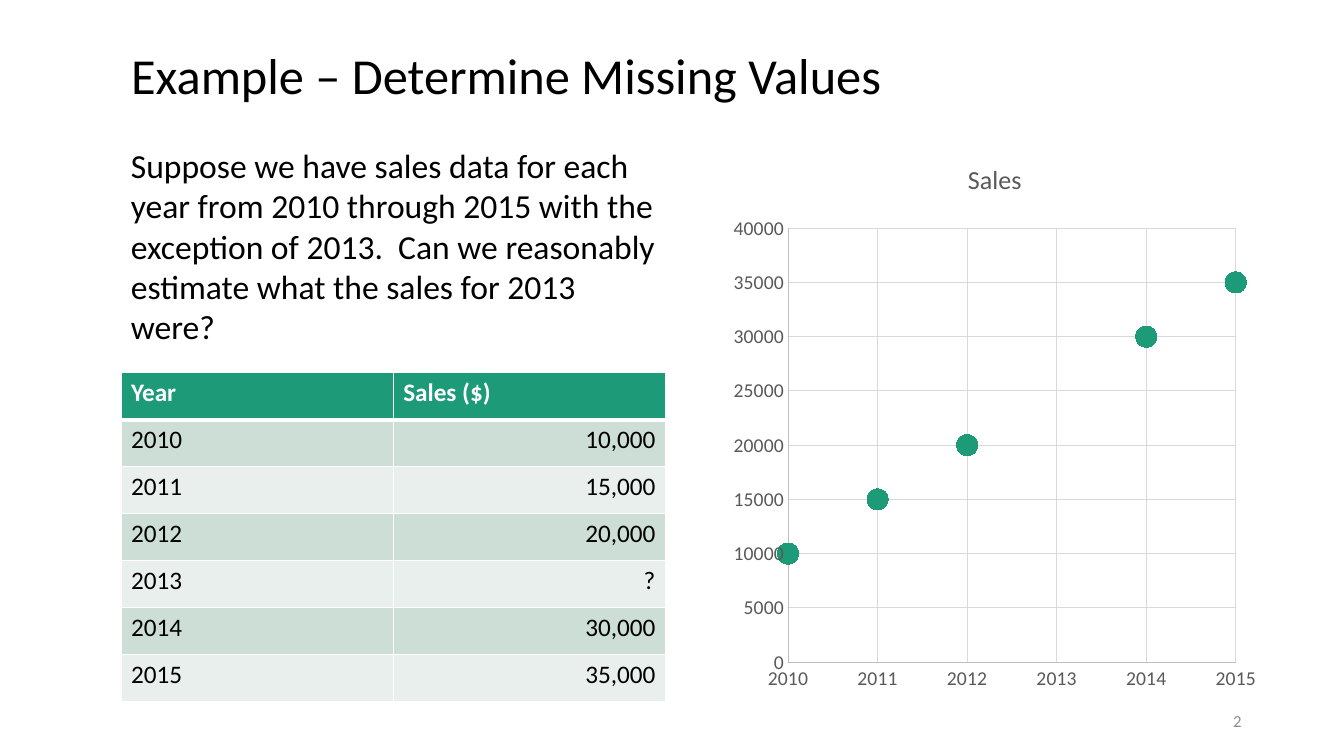
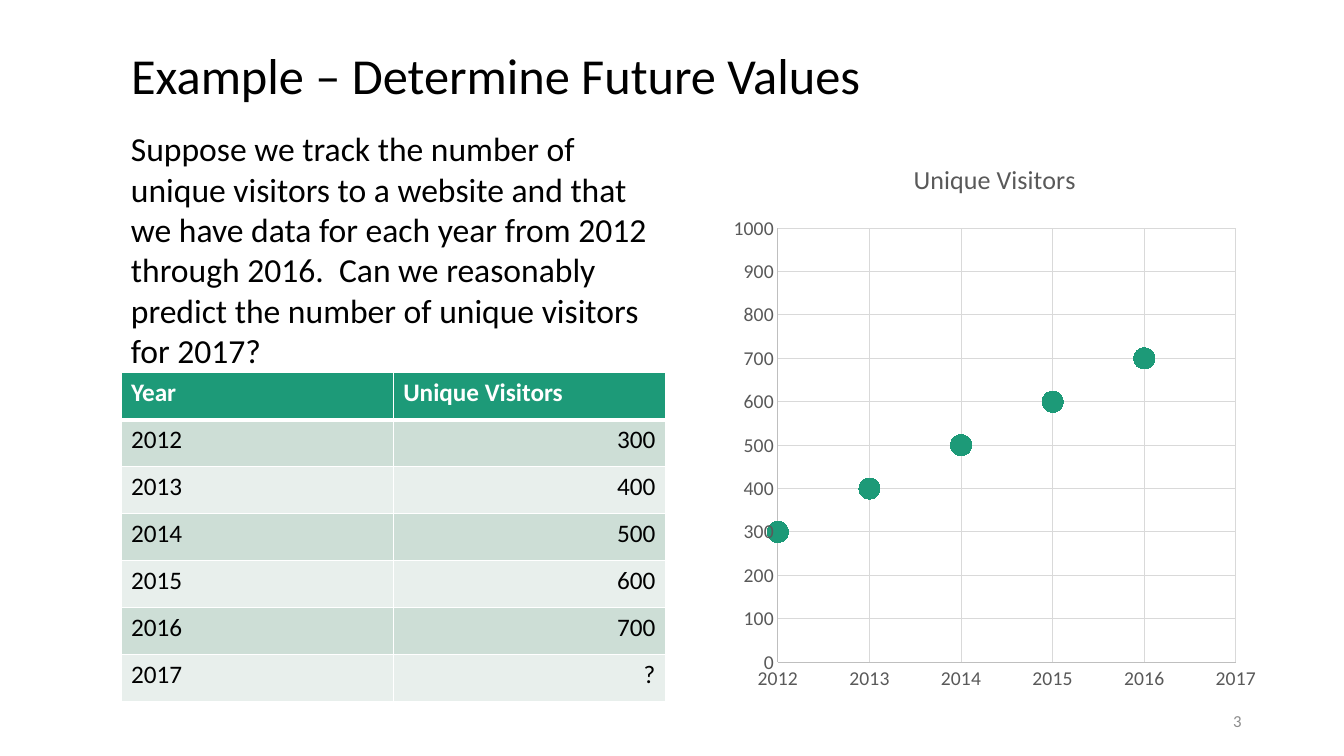
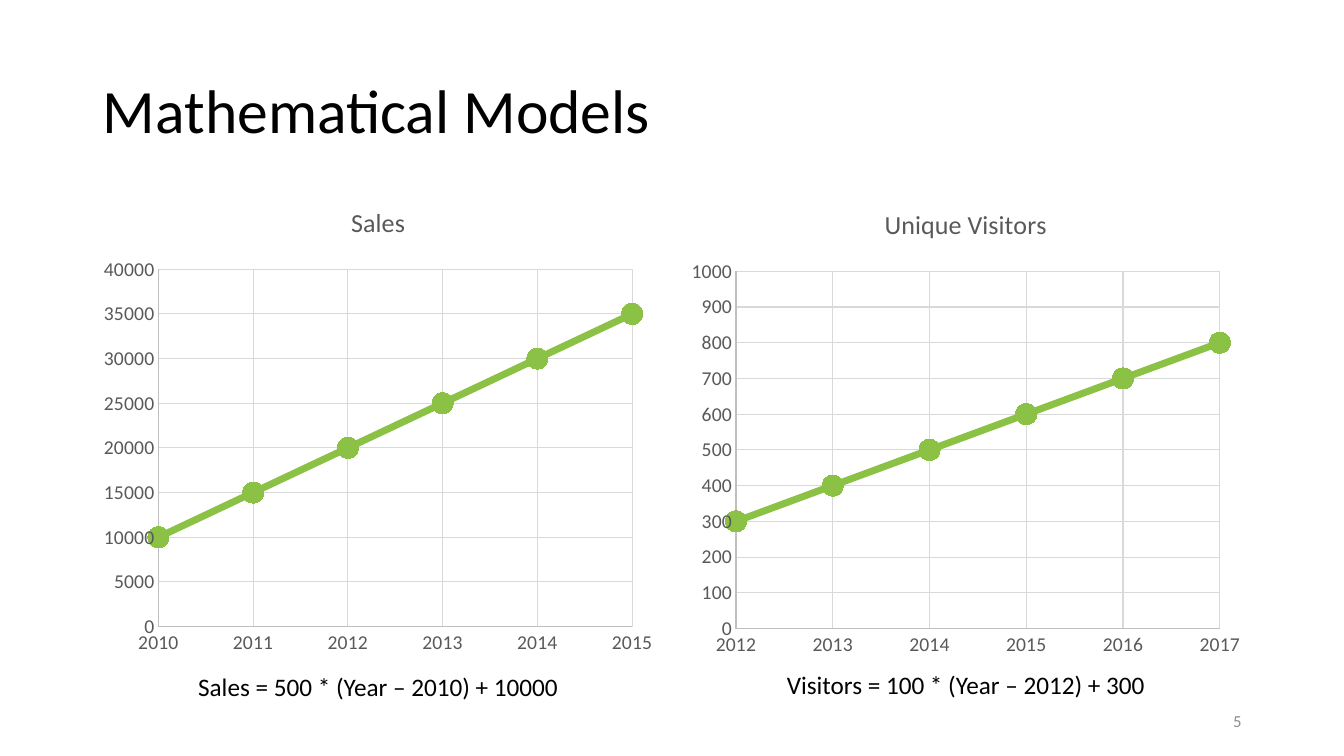
from lxml.etree import SubElement
from pptx import Presentation
from pptx.chart.data import XyChartData
from pptx.dml.color import RGBColor
from pptx.enum.chart import XL_CHART_TYPE, XL_MARKER_STYLE, XL_TICK_MARK
from pptx.enum.text import MSO_ANCHOR, MSO_AUTO_SIZE, PP_ALIGN
from pptx.oxml.ns import qn
from pptx.util import Cm, Pt

COLORS = {
    "text": "000000",
    "white": "FFFFFF",
    "green": "1D9A78",
    "lime": "8BC145",
    "band_dark": "CDDED6",
    "band_light": "E8EFEC",
    "label": "595959",
    "axis": "BFBFBF",
    "grid": "D9D9D9",
    "number": "8C8C8C",
}
FONT = "Calibri"
LEFT = 3.05
COLUMN = 13.72
TOP = 3.53


def rgb(name):
    return RGBColor.from_string(COLORS[name])


def box(*lengths):
    return [Cm(v) for v in lengths]


class Deck:
    def __init__(self):
        self.prs = Presentation()
        self.prs.slide_width = Cm(33.87)
        self.prs.slide_height = Cm(19.05)
        self.s = None

    def style(self, font, size, color, bold=False):
        font.name = FONT
        font.size = Pt(size)
        font.bold = bold
        font.color.rgb = rgb(color)

    def new_slide(self, title, place, size=36):
        self.s = self.prs.slides.add_slide(self.prs.slide_layouts[5])
        sp = self.s.shapes.title
        sp.left, sp.top, sp.width, sp.height = box(*place)
        tf = sp.text_frame
        tf.text = title
        tf.auto_size = MSO_AUTO_SIZE.NONE
        tf.vertical_anchor = MSO_ANCHOR.MIDDLE
        p = tf.paragraphs[0]
        p.alignment = PP_ALIGN.LEFT
        p.line_spacing = 0.9
        self.style(p.runs[0].font, size, "text")

    def text(self, text, place, size, color="text", align=PP_ALIGN.LEFT,
             anchor=MSO_ANCHOR.TOP):
        tf = self.s.shapes.add_textbox(*box(*place)).text_frame
        tf.word_wrap = True
        tf.vertical_anchor = anchor
        tf.text = text
        p = tf.paragraphs[0]
        p.alignment = align
        self.style(p.runs[0].font, size, color)

    def number(self, value):
        self.text(str(value), (23.92, 17.65, 7.62, 1.02), 12, "number",
                  PP_ALIGN.RIGHT, MSO_ANCHOR.MIDDLE)

    def borders(self, cell, row):
        widths = {"L": 1, "R": 1, "T": 3 if row == 1 else 1,
                  "B": 3 if row == 0 else 1}
        tc_pr = cell._tc.get_or_add_tcPr()
        for side, width in widths.items():
            ln = SubElement(tc_pr, qn(f"a:ln{side}"), w=str(Pt(width)))
            fill = SubElement(ln, qn("a:solidFill"))
            SubElement(fill, qn("a:srgbClr"), val=COLORS["white"])

    def table(self, heading, data, place):
        rows = [("Year", heading)]
        rows += [(str(year), "?" if v is None else f"{v:,}")
                 for year, v in data.items()]
        tbl = self.s.shapes.add_table(len(rows), 2, *box(*place)).table
        for i, row in enumerate(rows):
            band = "band_dark" if i % 2 else "band_light"
            for j, value in enumerate(row):
                cell = tbl.cell(i, j)
                self.borders(cell, i)
                cell.fill.solid()
                cell.fill.fore_color.rgb = rgb(band if i else "green")
                p = cell.text_frame.paragraphs[0]
                p.text = value
                p.alignment = PP_ALIGN.RIGHT if i and j else PP_ALIGN.LEFT
                self.style(p.runs[0].font, 18, "text" if i else "white",
                           bold=i == 0)

    def axis(self, axis, low=None, high=None):
        axis.minimum_scale = low
        axis.maximum_scale = high
        axis.major_tick_mark = XL_TICK_MARK.NONE
        axis.minor_tick_mark = XL_TICK_MARK.NONE
        axis.has_major_gridlines = True
        for line, color in ((axis.format.line, "axis"),
                            (axis.major_gridlines.format.line, "grid")):
            line.color.rgb = rgb(color)
            line.width = Pt(0.75)
        self.style(axis.tick_labels.font, 14, "label")

    def chart(self, title, data, place, top_value=None, lines=False):
        chart_data = XyChartData()
        series = chart_data.add_series("Series 1")
        for year, value in data.items():
            if value is not None:
                series.add_data_point(year, value)
        kind = XL_CHART_TYPE.XY_SCATTER_LINES if lines else XL_CHART_TYPE.XY_SCATTER
        chart = self.s.shapes.add_chart(kind, *box(*place), chart_data).chart
        self.style(chart.font, 10, "text")
        chart.has_legend = False
        chart.has_title = True
        tf = chart.chart_title.text_frame
        tf.text = title
        self.style(tf.paragraphs[0].runs[0].font, 18.6, "label")
        self.axis(chart.category_axis, min(data), max(data))
        chart.category_axis.major_unit = 1
        self.axis(chart.value_axis, high=top_value)
        plot = chart.plots[0]
        plot.vary_by_categories = False
        series = plot.series[0]
        series.smooth = False
        if lines:
            series.format.line.color.rgb = rgb("lime")
            series.format.line.width = Pt(5)
        else:
            series.format.line.fill.background()
        marker = series.marker
        marker.style = XL_MARKER_STYLE.CIRCLE
        marker.size = 15
        marker.format.fill.solid()
        marker.format.fill.fore_color.rgb = rgb("green")
        marker.format.line.color.rgb = rgb("green")

    def example(self, title, question, question_top, heading, name, data,
                number, top_value=None):
        self.new_slide(title, (LEFT, 0.89, 27.94, 2.16))
        self.chart(name, data, (18.21, TOP, COLUMN, 14.15), top_value)
        self.table(heading, data, (LEFT, 9.39, COLUMN, 8.3))
        self.text(question, (LEFT, question_top, COLUMN, 5.4), 24)
        self.number(number)

    def models(self, title, models, number):
        self.new_slide(title, (2.34, 1.02, 29.21, 3.68), 44)
        for i, (name, data, formula, top, formula_top, top_value) in enumerate(models):
            left = 2.33 + 14.81 * i
            self.chart(name, data, (left, top, 14.4, 12.09), top_value, True)
            self.text(formula, (left, formula_top, 14.4, 1.02), 18,
                      align=PP_ALIGN.CENTER)
        self.number(number)


def main():
    known_sales = {2010: 10000, 2011: 15000, 2012: 20000, 2014: 30000, 2015: 35000}
    sales = {year: known_sales.get(year) for year in range(2010, 2016)}
    visitors = {year: 300 + 100 * i for i, year in enumerate(range(2012, 2018))}
    deck = Deck()
    deck.example(
        "Example – Determine Missing Values",
        "Suppose we have sales data for each year from 2010 through 2015 with "
        "the exception of 2013.  Can we reasonably estimate what the sales for "
        "2013 were?",
        TOP, "Sales ($)", "Sales", sales, 2)
    deck.example(
        "Example – Determine Future Values",
        "Suppose we track the number of unique visitors to a website and that "
        "we have data for each year from 2012 through 2016.  Can we reasonably "
        "predict the number of unique visitors for 2017?",
        3.11, "Unique Visitors", "Unique Visitors", {**visitors, 2017: None}, 3,
        1000)
    deck.models("Mathematical Models", [
        ("Sales", {**known_sales, 2013: 25000},
         "Sales = 500 * (Year – 2010) + 10000", 4.65, 16.79, None),
        ("Unique Visitors", visitors,
         "Visitors = 100 * (Year – 2012) + 300", 4.7, 16.74, 1000),
    ], 5)
    deck.prs.save("out.pptx")


if __name__ == "__main__":
    main()
